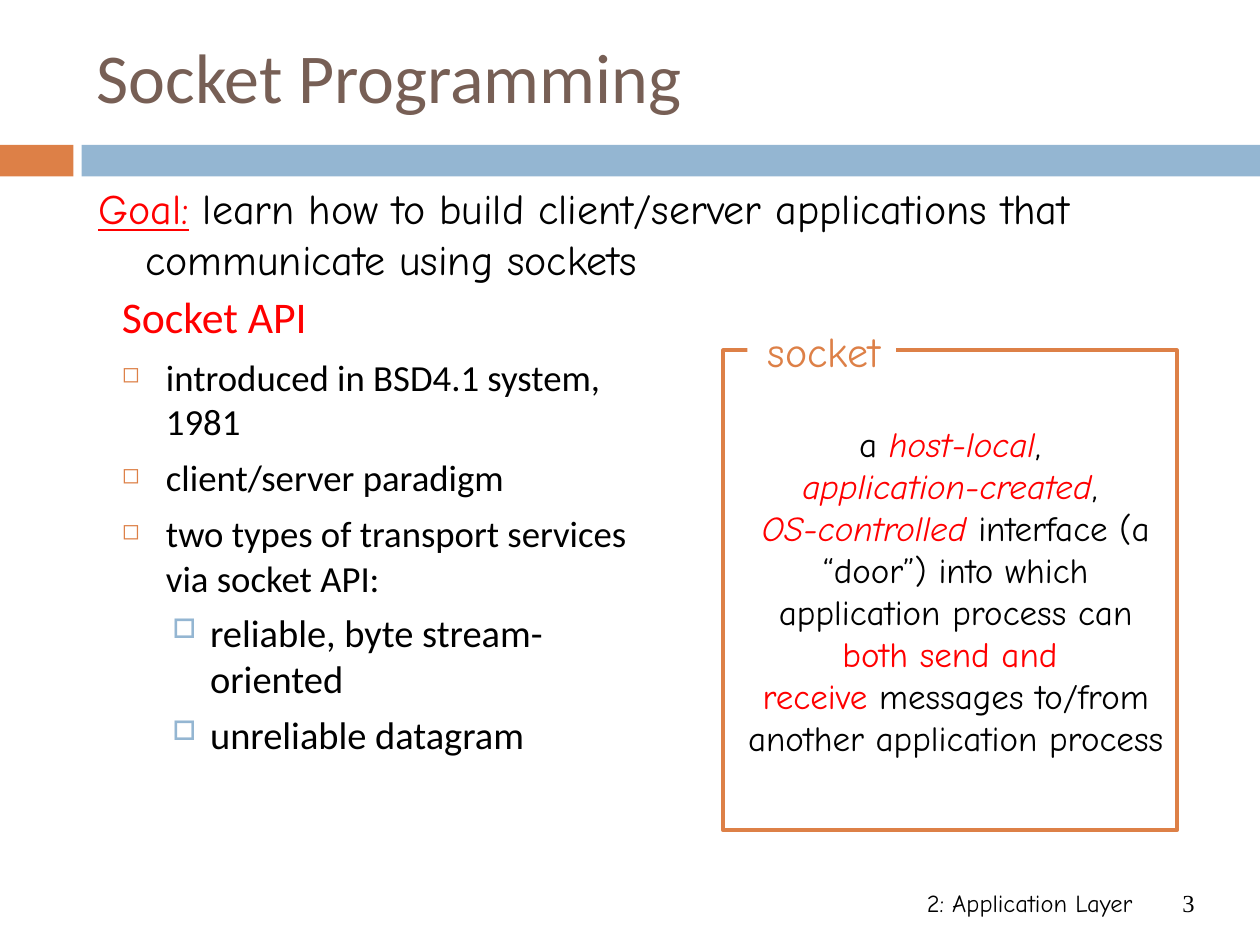
from lxml.etree import SubElement
from pptx import Presentation
from pptx.dml.color import RGBColor
from pptx.enum.shapes import MSO_SHAPE as Shape
from pptx.enum.text import MSO_ANCHOR as Anchor, PP_ALIGN as Align
from pptx.oxml.ns import qn
from pptx.util import Pt

ORANGE = RGBColor(0xDD, 0x80, 0x47)
BLUE = RGBColor(0x94, 0xB6, 0xD2)
BROWN = RGBColor(0x77, 0x5F, 0x55)
RED = RGBColor(0xFF, 0, 0)
BLACK = RGBColor(0, 0, 0)
WHITE = RGBColor(0xFF, 0xFF, 0xFF)

presentation = Presentation()
presentation.slide_width, presentation.slide_height = Pt(720), Pt(540)
slide = presentation.slides.add_slide(presentation.slide_layouts[6])


def add_rectangle(left, top, width, height, fill=None, line=None):
    shape = slide.shapes.add_shape(
        Shape.RECTANGLE, Pt(left), Pt(top), Pt(width), Pt(height))
    shape.shadow.inherit = False
    if fill is None:
        shape.fill.background()
    else:
        shape.fill.solid()
        shape.fill.fore_color.rgb = fill
    if line is None:
        shape.line.fill.background()
    else:
        shape.line.color.rgb = line
        shape.line.width = Pt(2.25)


def add_text(left, top, width, height, lines, size, font, color=BLACK,
             align=Align.LEFT, anchor=Anchor.TOP):
    """Each line is a list of runs: (text, color, italic, underline)."""
    frame = slide.shapes.add_textbox(
        Pt(left), Pt(top), Pt(width), Pt(height)).text_frame
    frame.word_wrap = True
    frame.vertical_anchor = anchor
    for index, runs in enumerate(lines):
        paragraph = frame.paragraphs[0] if index == 0 else frame.add_paragraph()
        paragraph.alignment = align
        paragraph.font.size, paragraph.font.name = Pt(size), font
        for text, run_color, italic, underline in runs:
            run = paragraph.add_run()
            run.text = text
            run.font.color.rgb = run_color or color
            if italic:
                run.font.italic = True
            if underline:
                run.font.underline = True
    return frame


def_run = (None, False, False)
red_italic = (RED, True, False)
red = (RED, False, False)

# Title and the band below it
add_rectangle(0, 82.8, 42, 18, fill=ORANGE)
add_rectangle(46.6, 82.8, 673.4, 18, fill=BLUE)
add_text(48.2, 18.7, 642, 49, [[("Socket Programming", *def_run)]], 40,
         "Calibri", BROWN, anchor=Anchor.MIDDLE)

# Footer and slide number
add_text(426.2, 504, 228.2, 36, [[("2: Application Layer", *def_run)]], 14,
         "Comic Neue", align=Align.RIGHT)
add_text(653.8, 504, 36, 36, [[("3", *def_run)]], 14,
         "Times New Roman", align=Align.RIGHT)

# Goal, with a hanging indent
goal = add_text(49, 100.8, 643, 70.6, [[
    ("Goal:", RED, False, True),
    (" learn how to build client/server applications that "
     "communicate using sockets", *def_run)]], 24, "Comic Neue")
goal_format = goal.paragraphs[0]._p.get_or_add_pPr()
goal_format.set("marL", str(Pt(27)))
goal_format.set("indent", str(-Pt(27)))

# Bulleted list: text, size, color, space before, margin, hang, bullet
head = (25, RED, 0, 25.2, 25.2, None)
item = (21, BLACK, 7, 25.2, 25.2, ("◻", ORANGE, 60))
subitem = (22, BLACK, 5.5, 50.4, 21.6, ("□", BLUE, 70))
api_list = [
    ("Socket API", head),
    ("introduced in BSD4.1 system, 1981", item),
    ("client/server paradigm", item),
    ("two types of transport services via socket API:", item),
    ("reliable, byte stream-oriented", subitem),
    ("unreliable datagram", subitem),
]
frame = slide.shapes.add_textbox(
    Pt(62.6), Pt(162), Pt(326.2), Pt(299.5)).text_frame
frame.word_wrap = True
for index, (text, style) in enumerate(api_list):
    size, color, space, margin, hang, bullet = style
    paragraph = frame.paragraphs[0] if index == 0 else frame.add_paragraph()
    paragraph.text = text
    paragraph.level = 1 if style is subitem else 0
    paragraph.space_before = Pt(space)
    properties = paragraph._p.get_or_add_pPr()
    properties.set("marL", str(Pt(margin)))
    properties.set("indent", str(-Pt(hang)))
    if bullet:
        character, bullet_color, percent = bullet
        color_element = SubElement(properties, qn("a:buClr"))
        SubElement(color_element, qn("a:srgbClr"), val=str(bullet_color))
        SubElement(properties, qn("a:buSzPct"), val=str(percent * 1000))
        SubElement(properties, qn("a:buChar"), char=character)
    paragraph.font.size, paragraph.font.name = Pt(size), "Calibri"
    paragraph.font.color.rgb = color

# Socket definition inside a frame with a label on its top edge
add_text(416.2, 237.6, 260, 199.2, [
    [("a ", *def_run), ("host-local", *red_italic), (", ", *def_run)],
    [("application-created", *red_italic), (", ", *def_run)],
    [("OS-controlled", *red_italic),
     (" interface (a “door”) into which", *def_run)],
    [("application process can ", *def_run), ("both send and ", *red)],
    [("receive", *red),
     (" messages to/from another application process", *def_run)],
], 20, "Comic Neue", align=Align.CENTER, anchor=Anchor.MIDDLE)
add_rectangle(413.3, 200.2, 259.2, 274.3, line=ORANGE)
add_rectangle(427, 184.3, 85, 31.7, fill=WHITE)
label = add_text(431.3, 182.2, 79.2, 36, [[("socket", *def_run)]], 24,
                 "Comic Neue", ORANGE, Align.CENTER, Anchor.MIDDLE)
label.word_wrap = False

presentation.save("out.pptx")
